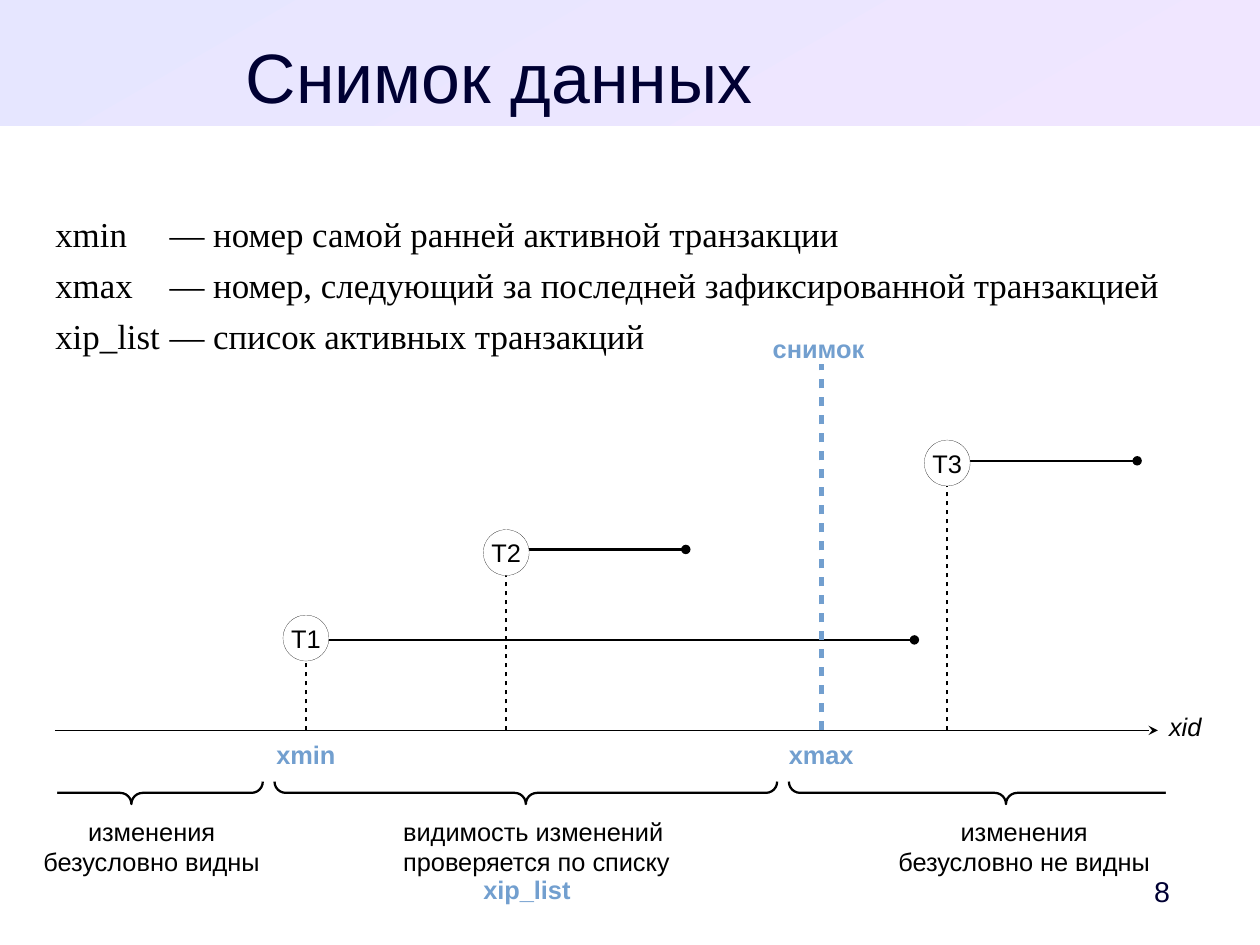
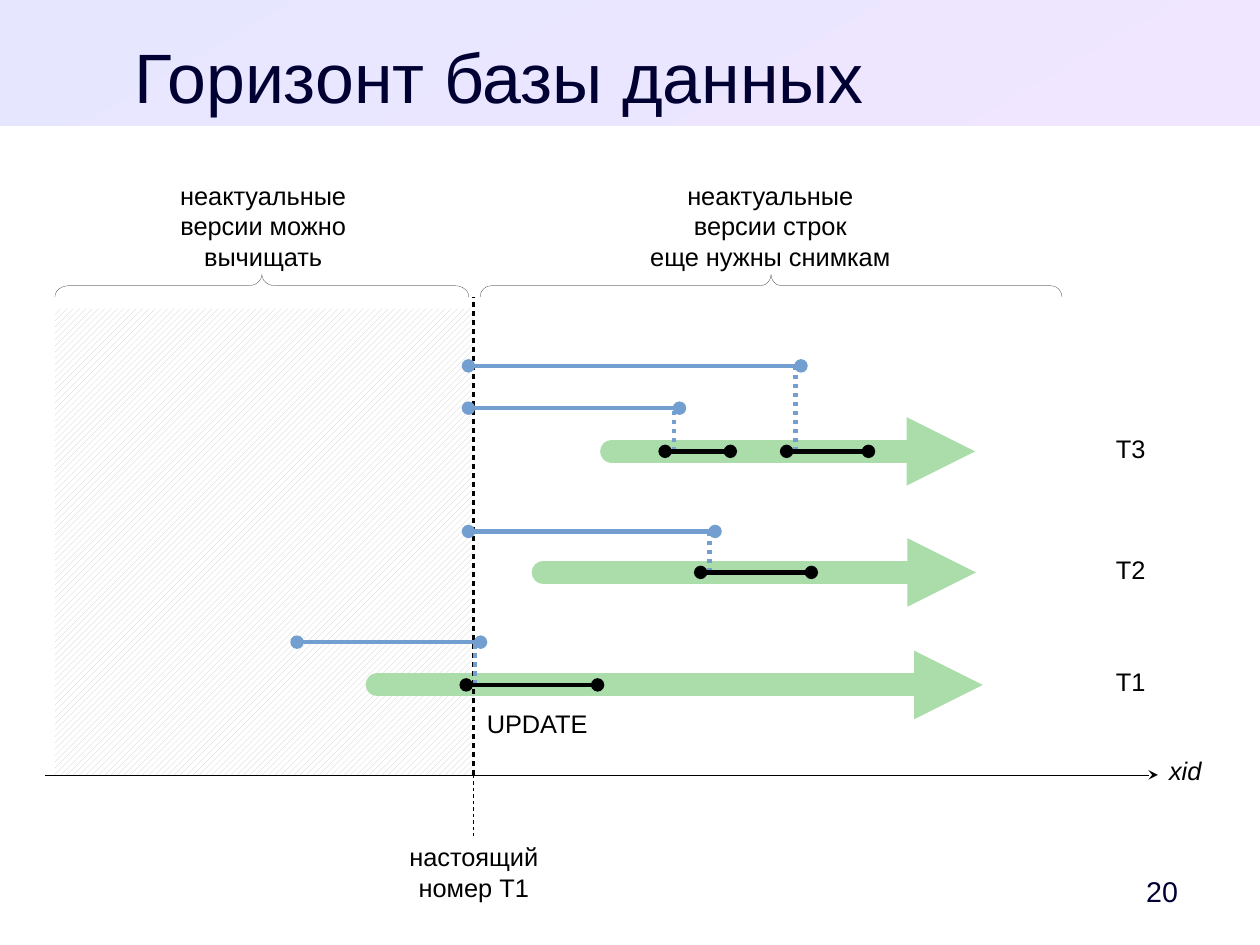
from lxml.etree import SubElement
from pptx import Presentation
from pptx.dml.color import RGBColor
from pptx.enum.dml import MSO_PATTERN
from pptx.enum.shapes import MSO_CONNECTOR, MSO_SHAPE
from pptx.enum.text import MSO_ANCHOR, PP_ALIGN
from pptx.oxml.ns import qn
from pptx.util import Cm, Pt

# Grid: 28 columns by 21 rows, one centimetre each
COLUMNS, ROWS = 28, 21
CELL = Cm(1)

BAND_START = RGBColor(0xE6, 0xE6, 0xFF)
BAND_END = RGBColor(0xF0, 0xE6, 0xFF)
NAVY = RGBColor(0x00, 0x00, 0x33)
BLACK = RGBColor(0x00, 0x00, 0x00)
WHITE = RGBColor(0xFF, 0xFF, 0xFF)
BLUE = RGBColor(0x72, 0x9F, 0xCF)
GREEN = RGBColor(0xAA, 0xDD, 0xAA)
HATCH = RGBColor(0xCC, 0xCC, 0xCC)

SANS, SERIF = "Arial", "Times New Roman"
HAIRLINE, THIN, MEDIUM, THICK, ARROW = 0.1, 1.42, 1.5, 2.83, 14.4
AXIS_START, AXIS_END = 1.22, 25.73
INSETS = (0.25, 0.13, 0.25, 0.13)
NO_INSETS = (0, 0, 0, 0)


def grid(*cells):
    return [round(cell * CELL) for cell in cells]


def write(shape, lines, size=16, color=BLACK, font=SANS, bold=None, italic=None,
          align=PP_ALIGN.CENTER, anchor=MSO_ANCHOR.TOP, insets=INSETS,
          wrap=False, after=0, tab=None):
    frame = shape.text_frame
    frame.word_wrap = wrap
    frame.vertical_anchor = anchor
    (frame.margin_left, frame.margin_top,
     frame.margin_right, frame.margin_bottom) = grid(*insets)
    for index, line_text in enumerate(lines):
        paragraph = frame.add_paragraph() if index else frame.paragraphs[0]
        paragraph.alignment = align
        paragraph.space_after = Pt(after)
        if tab:
            stops = SubElement(paragraph._p.get_or_add_pPr(), qn("a:tabLst"))
            SubElement(stops, qn("a:tab"), pos=str(grid(tab)[0]), algn="l")
        run = paragraph.add_run()
        run.text = line_text
        run.font.name = font
        run.font.size = Pt(size)
        run.font.color.rgb = color
        run.font.bold = bold
        run.font.italic = italic


def label(slide, box, *lines, **style):
    write(slide.shapes.add_textbox(*grid(*box)), lines, **style)


def block(slide, kind, box, fill=None, outline=None, weight=HAIRLINE):
    shape = slide.shapes.add_shape(kind, *grid(*box))
    shape.shadow.inherit = False
    if fill is None:
        shape.fill.background()
    else:
        shape.fill.solid()
        shape.fill.fore_color.rgb = fill
    if outline is None:
        shape.line.fill.background()
    else:
        shape.line.color.rgb = outline
        shape.line.width = Pt(weight)
    return shape


def line(slide, start, end, color=BLACK, weight=THIN, dash=None,
         head=None, tail=None, cap=None):
    """Straight line; dash is the length of dash and gap in line widths."""
    stroke = slide.shapes.add_connector(
        MSO_CONNECTOR.STRAIGHT, *grid(*start, *end))
    stroke.line.color.rgb = color
    stroke.line.width = Pt(weight)
    ln = stroke.line._get_or_add_ln()
    if cap:
        ln.set("cap", cap)
    if dash:
        share = str(round(dash * 100000))
        SubElement(SubElement(ln, qn("a:custDash")), qn("a:ds"), d=share, sp=share)
    for tag, ending in (("a:headEnd", head), ("a:tailEnd", tail)):
        if ending:
            SubElement(ln, qn(tag), type=ending)
    SubElement(stroke._element.spPr, qn("a:effectLst"))


def span(slide, left, right, y, color=BLACK, weight=MEDIUM):
    line(slide, (left, y), (right, y), color, weight, head="oval", tail="oval")


def brace(slide, left, right, top, rotation, weight, curve=0.5):
    """Horizontal brace: rotation 90 points down, 270 points up."""
    depth, length = 0.5, right - left
    box = ((left + right - depth) / 2, top + (depth - length) / 2, depth, length)
    shape = block(slide, MSO_SHAPE.RIGHT_BRACE, box, outline=BLACK, weight=weight)
    shape.adjustments[0] = curve
    shape.rotation = rotation


def axis(slide, start, y):
    line(slide, (start, y), (AXIS_END, y), weight=HAIRLINE, tail="stealth")
    label(slide, (AXIS_END, y - 0.56, 1.6, 0.89), "xid",
          italic=True, align=PP_ALIGN.LEFT)


def new_slide(deck, title, number):
    slide = deck.slides.add_slide(deck.slide_layouts[6])
    band = block(slide, MSO_SHAPE.RECTANGLE, (0, 0, COLUMNS, 2.8), BAND_START)
    band.fill.gradient()
    band.fill.gradient_angle = 300
    for stop, color in zip(band.fill.gradient_stops, (BAND_START, BAND_END)):
        stop.color.rgb = color
    label(slide, (1.2, 0.75, 19.8, 1.75), title, size=44, color=NAVY,
          insets=NO_INSETS, wrap=True)
    label(slide, (24.6, 19.2, 2.2, 1.2), number, size=18, color=NAVY,
          anchor=MSO_ANCHOR.MIDDLE, insets=(0.25, 0.13, 0, 0.13), wrap=True)
    return slide


def snapshot_slide(deck):
    slide = new_slide(deck, "Снимок данных", "8")
    label(slide, (1.23, 4.73, 25.6, 3.5),
          "xmin\t— номер самой ранней активной транзакции",
          "xmax\t— номер, следующий за последней зафиксированной транзакцией",
          "xip_list\t— список активных транзакций",
          size=22, font=SERIF, align=PP_ALIGN.LEFT, insets=NO_INSETS,
          wrap=True, after=5.7, tab=2.54)

    # Transactions along the axis: circle row, then row of the duration line
    axis_y, xmin, xmax = 16.23, 6.8, 18.25
    axis(slide, AXIS_START, axis_y)
    transactions = (("T1", xmin, 14.18, 14.22, 20.32),
                    ("T2", 11.25, 12.28, 12.21, 15.24),
                    ("T3", 21.05, 10.29, 10.24, 25.27))
    for name, x, y, duration_y, end in transactions:
        span(slide, x, end, duration_y)
        line(slide, (x, axis_y), (x, y), dash=2)
        circle = block(slide, MSO_SHAPE.OVAL, (x - 0.51, y - 0.51, 1.02, 1.02),
                       WHITE, BLACK)
        write(circle, [name], anchor=MSO_ANCHOR.MIDDLE)

    # Snapshot
    line(slide, (xmax, axis_y), (xmax, 8.08), BLUE, THICK, dash=2)
    for text, center, top in (("снимок", 18.19, 7.27),
                              ("xmin", xmin, 16.29),
                              ("xmax", xmax, 16.29),
                              ("xip_list", 11.71, 19.3)):
        label(slide, (center - 1.5, top, 3, 0.89), text, color=BLUE, bold=True)

    # Visibility ranges; the outer braces run on past the visible part
    for left, right in ((0, 5.84), (6.1, 17.27), (17.53, 27.18)):
        brace(slide, left, right, 17.37, 90, THIN)
    for left, width in ((0, 1.27), (25.91, 1.78)):
        block(slide, MSO_SHAPE.RECTANGLE, (left, 17.22, width, 1.02), WHITE)
    for left, width, align, lines in (
            (0.37, 6, PP_ALIGN.CENTER, ("изменения", "безусловно видны")),
            (8.71, 7, PP_ALIGN.LEFT,
             ("видимость изменений", "проверяется по списку")),
            (19.26, 7, PP_ALIGN.CENTER, ("изменения", "безусловно не видны"))):
        label(slide, (left, 18, width, 1.5), *lines, align=align)


def horizon_slide(deck):
    slide = new_slide(deck, "Горизонт базы данных", "20")
    axis_y, horizon = 17.22, 10.52

    # Area that can be cleaned, and the horizon
    area = block(slide, MSO_SHAPE.RECTANGLE,
                 (AXIS_START, 6.86, horizon - AXIS_START, axis_y - 6.86), WHITE)
    area.fill.patterned()
    area.fill.pattern = MSO_PATTERN.WIDE_UPWARD_DIAGONAL
    area.fill.fore_color.rgb = HATCH
    area.fill.back_color.rgb = WHITE
    axis(slide, 1, axis_y)
    line(slide, (horizon, axis_y), (horizon, 18.65), weight=0.25, dash=8)

    # Version ranges
    brace(slide, AXIS_START, 10.42, 6.1, 270, HAIRLINE, curve=0.6)
    brace(slide, 10.67, 23.6, 6.1, 270, HAIRLINE)
    label(slide, (3.35, 3.87, 5, 2.13),
          "неактуальные", "версии можно", "вычищать")
    label(slide, (13.62, 3.87, 7, 2.13),
          "неактуальные", "версии строк", "еще нужны снимкам")
    label(slide, (8.53, 18.57, 4, 1.5), "настоящий", "номер T1")

    # Transactions: statements as (start, end, snapshot start, snapshot row)
    transactions = (
        ("T1", 15.22, 8.38, 21.84, [(10.36, 13.28, 6.6, 14.27)]),
        ("T2", 12.72, 12.07, 21.69, [(15.57, 18.03, 10.41, 11.81)]),
        ("T3", 10.03, 13.59, 21.67, [(14.78, 16.23, 10.41, 9.07),
                                     (17.48, 19.3, 10.41, 8.13)]))
    for name, y, start, end, _ in transactions:
        line(slide, (start, y), (end, y), GREEN, ARROW, tail="triangle", cap="rnd")
        label(slide, (24.31, y - 0.62, 1.63, 1.09), name, anchor=MSO_ANCHOR.MIDDLE)
    line(slide, (horizon, axis_y), (horizon, 6.6), dash=2)
    for _, y, _, _, statements in transactions:
        for first, last, seen_from, seen_y in statements:
            span(slide, seen_from, first + 0.32, seen_y, BLUE, THICK)
            line(slide, (first + 0.2, y), (first + 0.2, seen_y), BLUE, THICK, dash=1)
            span(slide, first, last, y, weight=THICK)
    update = block(slide, MSO_SHAPE.RECTANGLE, (10.57, 15.6, 2.74, 1.04), WHITE)
    write(update, ["UPDATE"], insets=(0.1, 0.13, 0.1, 0.13))


def main():
    deck = Presentation()
    deck.slide_width, deck.slide_height = grid(COLUMNS, ROWS)
    snapshot_slide(deck)
    horizon_slide(deck)
    deck.save("out.pptx")


if __name__ == "__main__":
    main()
